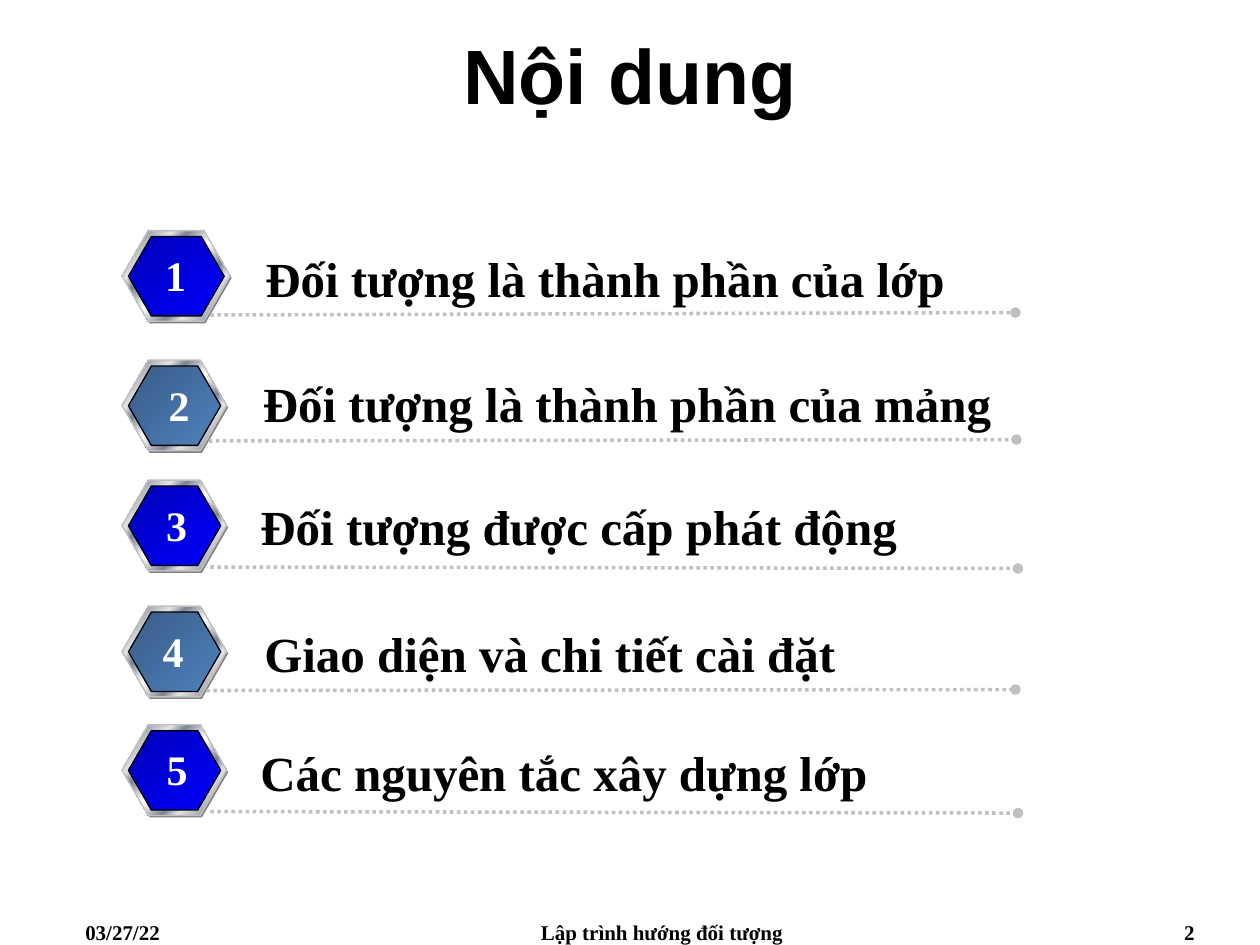
from collections import namedtuple

from lxml import etree
from pptx import Presentation
from pptx import util as u
from pptx.dml import color
from pptx.enum import dml, shapes, text
from pptx.oxml import ns

SERIF = "Times New Roman"
BLUE = ("0000B6", "0000FF")
STEEL = ("395C87", "4F81BD")
METAL = [(0, "E6E6E6"), (7, "7D8496"), (26, "E6E6E6"), (34, "7D8496"),
         (46, "E6E6E6"), (50, "FFFFFF"), (54, "E6E6E6"), (66, "7D8496"),
         (74, "E6E6E6"), (93, "7D8496"), (100, "E6E6E6")]

Topic = namedtuple("Topic", "label top badge_width number_x label_box rule")
TOPICS = [
    Topic("Đối tượng là thành phần của lớp", 4.65, 2.18, 1.08,
          (2.64, 0.23, 14.94), (1.78, 1.7, 18.01, 1.65)),
    Topic("Đối tượng là thành phần của mảng", 7.26, 2.11, 1.15,
          (2.59, 0.15, 15.44), (1.75, 1.63, 18.03, 1.6)),
    Topic("Đối tượng được cấp phát động", 9.68, 2.11, 1.1,
          (2.54, 0.2, 14.4), (1.78, 1.75, 18.06, 1.78)),
    Topic("Giao diện và chi tiết cài đặt", 12.22, 2.11, 1.03,
          (2.62, 0.23, 15.01), (1.7, 1.7, 18.01, 1.68)),
    Topic("Các nguyên tắc xây dựng lớp", 14.61, 2.11, 1.11,
          (2.54, 0.23, 14.4), (1.78, 1.75, 18.06, 1.78)),
]


def rgb(value):
    return color.RGBColor.from_string(value)


def style(frame, size, font, shade="000000", align=text.PP_ALIGN.LEFT):
    paragraph = frame.paragraphs[0]
    paragraph.alignment = align
    for run in paragraph.runs:
        run.font.size = u.Pt(size)
        run.font.name = font
        run.font.bold = True
        run.font.color.rgb = rgb(shade)


def add_words(slide, words, box, size, shade="000000",
              align=text.PP_ALIGN.LEFT, wrap=True):
    frame = slide.shapes.add_textbox(*map(u.Cm, box)).text_frame
    frame.word_wrap = wrap
    frame.text = words
    style(frame, size, SERIF, shade, align)


def fill_gradient(shape, stops):
    shape.fill.gradient()
    shape.fill.gradient_angle = 315
    stop_list = shape.element.spPr.find(".//" + ns.qn("a:gsLst"))
    for stop in list(stop_list):
        stop_list.remove(stop)
    for percent, shade in stops:
        stop = etree.SubElement(stop_list, ns.qn("a:gs"), pos=str(percent * 1000))
        etree.SubElement(stop, ns.qn("a:srgbClr"), val=shade)


def add_hexagon(group, left, top, width, height):
    hexagon = group.shapes.add_shape(
        shapes.MSO_SHAPE.HEXAGON, *map(u.Cm, (left, top, width, height)))
    hexagon.adjustments[0] = 0.289
    hexagon.shadow.inherit = False
    return hexagon


def outline(hexagon, shade):
    hexagon.line.color.rgb = rgb(shade)
    hexagon.line.width = u.Pt(0.75)


def add_badge(slide, left, top, width, shades):
    group = slide.shapes.add_group_shape()
    shade = add_hexagon(group, left + 0.03, top + 0.04, width, 1.83)
    shade.fill.solid()
    shade.fill.fore_color.rgb = rgb("808080")
    shade.line.fill.background()
    rim = add_hexagon(group, left, top, width, 1.83)
    fill_gradient(rim, METAL)
    outline(rim, "C0C0C0")
    face = add_hexagon(group, left + 0.13, top + 0.12, width - 0.25, 1.6)
    fill_gradient(face, zip((0, 100), shades))
    outline(face, "000000")


def add_rule(slide, left, top, ends):
    x1, y1, x2, y2 = ends
    rule = slide.shapes.add_connector(
        shapes.MSO_CONNECTOR.STRAIGHT, u.Cm(left + x1), u.Cm(top + y1),
        u.Cm(left + x2), u.Cm(top + y2))
    rule.line.color.rgb = rgb("C0C0C0")
    rule.line.width = u.Pt(2)
    rule.line.dash_style = dml.MSO_LINE.ROUND_DOT
    etree.SubElement(rule.line._get_or_add_ln(), ns.qn("a:tailEnd"), type="oval")
    etree.SubElement(rule.element.spPr, ns.qn("a:effectLst"))


def add_topic(slide, number, topic, left):
    top = topic.top
    add_badge(slide, left, top, topic.badge_width, BLUE if number % 2 else STEEL)
    add_rule(slide, left, top, topic.rule)
    x, y, width = topic.label_box
    add_words(slide, topic.label, (left + x, top + y, width, 1.45), 28)
    add_words(slide, str(number), (left + topic.number_x - 0.5, top + 0.26, 1, 1.27),
              24, "FFFFFF", text.PP_ALIGN.CENTER, wrap=False)


def add_title(slide, box):
    title = slide.shapes.title
    title.left, title.top, title.width, title.height = map(u.Cm, box)
    title.text_frame.text = "Nội dung"
    title.text_frame.vertical_anchor = text.MSO_ANCHOR.MIDDLE
    style(title.text_frame, 44, "Arial", align=text.PP_ALIGN.CENTER)


def add_footer(slide, left, top, width, height):
    side = 5.92
    add_words(slide, "03/27/22", (left, top, side, height), 12)
    add_words(slide, "Lập trình hướng đối tượng", (left + 7.85, top, 8.05, height),
              12, align=text.PP_ALIGN.CENTER)
    add_words(slide, "2", (left + width - side, top, side, height),
              12, align=text.PP_ALIGN.RIGHT)


def main():
    deck = Presentation()
    deck.slide_width, deck.slide_height = u.Cm(25.4), u.Cm(19.05)
    slide = deck.slides.add_slide(deck.slide_layouts[5])
    add_title(slide, (0, 0, 25.4, 2.97))
    add_footer(slide, 1.47, 18.41, 22.86, 0.64)
    for number, topic in enumerate(TOPICS, 1):
        add_topic(slide, number, topic, 2.46)
    deck.save("out.pptx")


if __name__ == "__main__":
    main()
